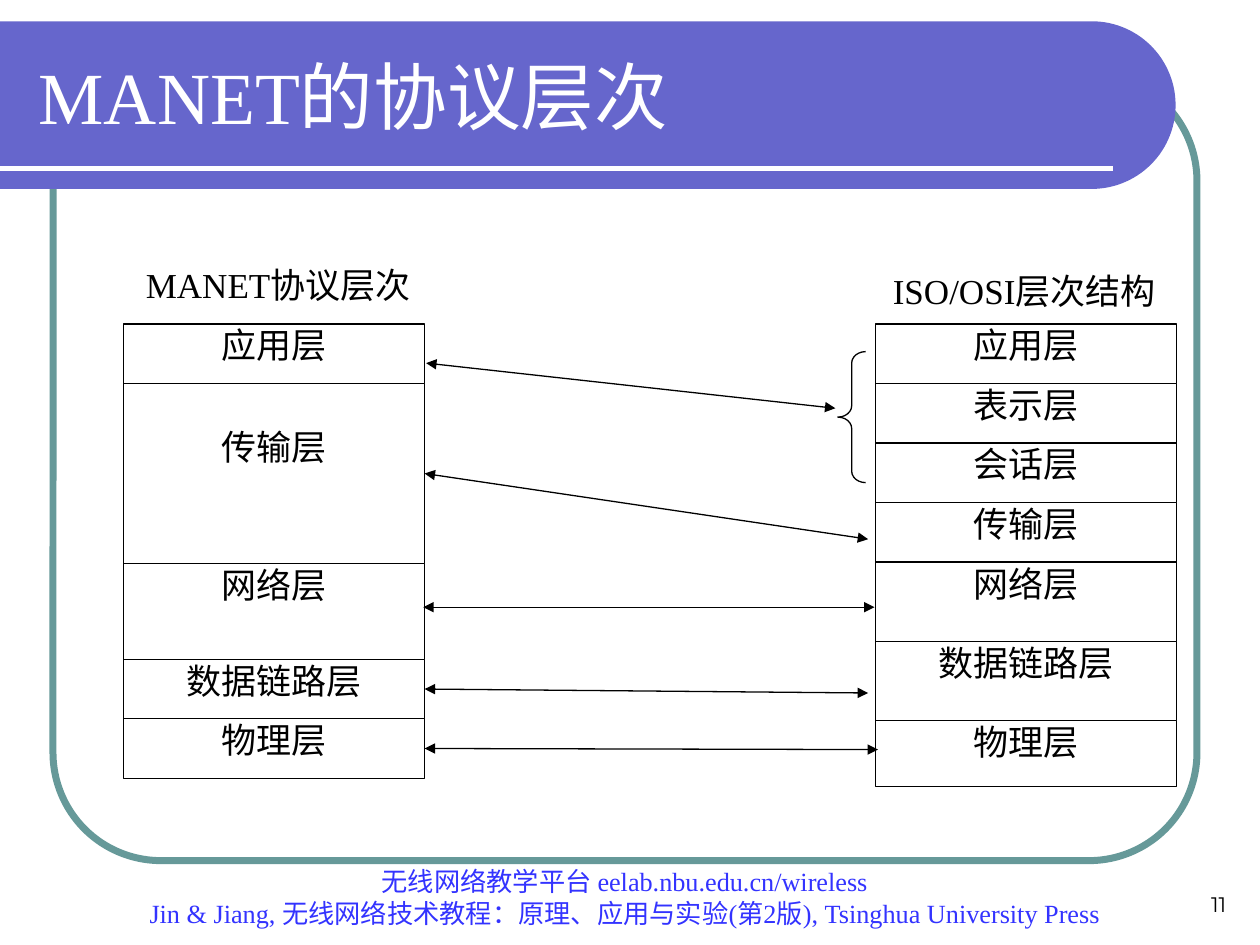
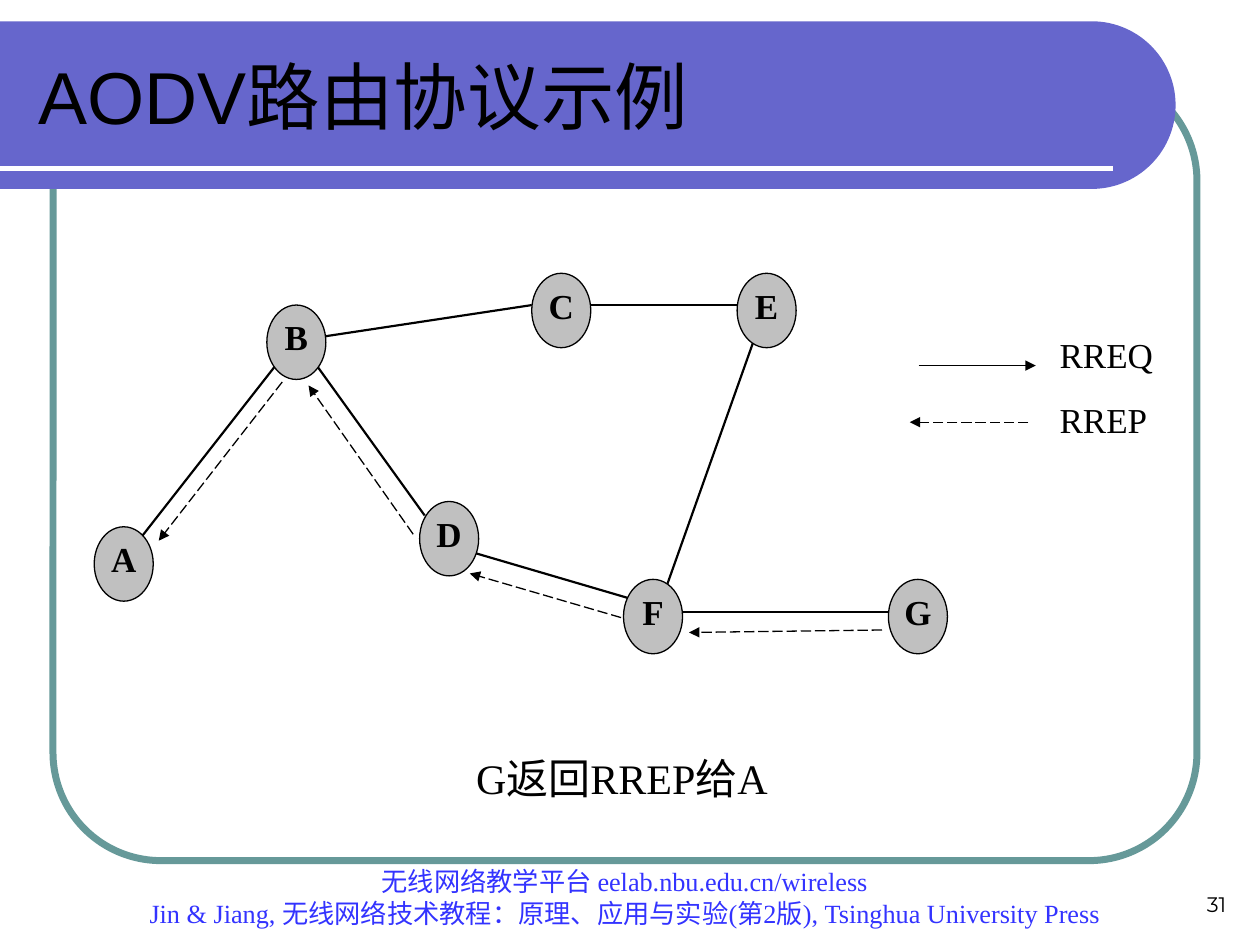
from dataclasses import dataclass
from math import cos, pi, sin

from lxml.etree import SubElement
from pptx import Presentation
from pptx.dml.color import RGBColor
from pptx.enum.dml import MSO_LINE_DASH_STYLE as Dash
from pptx.enum.shapes import MSO_CONNECTOR as Connector, MSO_SHAPE as Shape
from pptx.enum.text import MSO_ANCHOR as Anchor, PP_ALIGN as Align
from pptx.oxml.ns import qn
from pptx.util import Cm, Pt


@dataclass(frozen=True)
class Theme:
    ink: str = "000000"
    paper: str = "FFFFFF"
    band: str = "6666CC"
    frame: str = "669999"
    footer: str = "3333FF"
    node: str = "C0C0C0"
    serif: str = "Times New Roman"
    sans: str = "Arial"
    number_font: str = "Montserrat"
    title_size: int = 42
    caption_size: int = 24
    label_size: int = 20
    footer_size: int = 15
    number_size: int = 12
    thin: float = 0.75
    link: float = 1.25


FOOTER = [
    "无线网络教学平台 eelab.nbu.edu.cn/wireless",
    "Jin & Jiang, 无线网络技术教程：原理、应用与实验(第2版), Tsinghua University Press",
]
PADDING = (0.25, 0.13)
NODE_SIZE = (1.19, 1.5)


class SlideBuilder:
    def __init__(self, deck, theme):
        self.deck = deck
        self.theme = theme
        self.page = None

    def label(self, item, lines, size, color=None, font=None, align=Align.CENTER,
              anchor=Anchor.TOP, padding=(0, 0), bold=False):
        frame = item.text_frame
        frame.word_wrap = True
        frame.vertical_anchor = anchor
        frame.margin_left = frame.margin_right = Cm(padding[0])
        frame.margin_top = frame.margin_bottom = Cm(padding[1])
        frame.text = "\n".join(lines)
        for para in frame.paragraphs:
            para.alignment = align
            for span in para.runs:
                span.font.name = font or self.theme.serif
                span.font.size = Pt(size)
                span.font.bold = bold
                span.font.color.rgb = RGBColor.from_string(color or self.theme.ink)

    def text(self, place, lines, size, **style):
        box = self.page.shapes.add_textbox(*map(Cm, place))
        self.label(box, lines, size, **style)

    def paint(self, item, fill=None, line=None, width=None):
        item.shadow.inherit = False
        if fill:
            item.fill.solid()
            item.fill.fore_color.rgb = RGBColor.from_string(fill)
        else:
            item.fill.background()
        if line:
            item.line.color.rgb = RGBColor.from_string(line)
            item.line.width = Pt(width or self.theme.thin)
        else:
            item.line.fill.background()

    def shape(self, kind, place, fill=None, line=None, width=None):
        item = self.page.shapes.add_shape(kind, *map(Cm, place))
        self.paint(item, fill, line or self.theme.ink, width)
        return item

    def line(self, start, end, width=None, color=None, heads=(), dashed=False, source=None):
        """Draw a line; heads holds headEnd and/or tailEnd, source is a box left by its right side."""
        item = self.page.shapes.add_connector(Connector.STRAIGHT, *map(Cm, start + end))
        if source is not None:
            item.begin_connect(source, 3)
        item.line.color.rgb = RGBColor.from_string(color or self.theme.ink)
        item.line.width = Pt(width or self.theme.thin)
        if dashed:
            item.line.dash_style = Dash.LONG_DASH
        properties = item._element.spPr
        outline = properties.find(qn("a:ln"))
        for head in heads:
            SubElement(outline, qn(f"a:{head}"), type="triangle")
        SubElement(properties, qn("a:effectLst"))

    def band(self, top, right, height):
        radius = height / 2
        steps = 60
        angles = [pi * step / steps - pi / 2 for step in range(steps + 1)]
        curve = [(Cm(right - radius + radius * cos(angle)),
                  Cm(top + radius + radius * sin(angle))) for angle in angles]
        outline = self.page.shapes.build_freeform(0, Cm(top))
        outline.add_line_segments(curve + [(0, Cm(top + height))], close=True)
        self.paint(outline.convert_to_shape(), self.theme.band)

    def start(self, title, number, color, font):
        theme = self.theme
        self.page = self.deck.slides.add_slide(self.deck.slide_layouts[6])
        frame = self.shape(Shape.ROUNDED_RECTANGLE, (1.07, 1.47, 23.06, 15.88),
                           line=theme.frame, width=4)
        frame.adjustments[0] = 0.137
        self.band(0.43, 23.7, 3.38)
        self.line((0, 3.39), (22.43, 3.39), 3, theme.paper)
        self.text((1.9, 17.78, 21.39, 1.07), FOOTER, theme.footer_size, color=theme.footer,
                  anchor=Anchor.BOTTOM, padding=PADDING)
        self.text((19.05, 17.35, 5.92, 1.27), [number], theme.number_size,
                  font=theme.number_font, align=Align.RIGHT, anchor=Anchor.BOTTOM,
                  padding=PADDING)
        self.text((0.53, 0.64, 22.28, 2.54), [title], theme.title_size, color=color,
                  font=font, align=Align.LEFT, anchor=Anchor.MIDDLE, padding=PADDING)

    def stack(self, left, top, layers):
        """Pile boxes without gaps and return them in order."""
        boxes = []
        for name, height in layers:
            box = self.shape(Shape.RECTANGLE, (left, top, 6.07, height), self.theme.paper)
            self.label(box, [name], self.theme.label_size)
            boxes.append(box)
            top += height
        return boxes

    def node(self, name, left, top):
        oval = self.shape(Shape.OVAL, (left, top) + NODE_SIZE, self.theme.node)
        self.label(oval, [name], self.theme.label_size, bold=True)


def build_layers(builder):
    theme = builder.theme
    builder.start("MANET的协议层次", "11", theme.paper, theme.serif)

    # Protocol stacks
    manet = builder.stack(2.49, 6.53, [
        ("应用层", 1.2), ("传输层", 3.63), ("网络层", 1.93), ("数据链路层", 1.2), ("物理层", 1.2)])
    transport, data_link, physical = manet[1], manet[3], manet[4]
    transport.text_frame.margin_top = Cm(0.85)
    builder.stack(17.65, 6.53, [
        ("应用层", 1.2), ("表示层", 1.2), ("会话层", 1.2), ("传输层", 1.2),
        ("网络层", 1.6), ("数据链路层", 1.59), ("物理层", 1.34)])
    builder.text((2.64, 5.31, 5.94, 1.2), ["MANET协议层次"], theme.label_size)
    builder.text((17.78, 5.44, 5.74, 1.2), ["ISO/OSI层次结构"], theme.label_size)

    # Matching layers
    matches = [
        ((8.59, 7.32), (16.84, 8.23), None),
        ((8.56, 9.53), (17.5, 10.87), transport),
        ((8.53, 12.24), (17.63, 12.24), None),
        ((8.56, 13.94), (17.5, 13.97), data_link),
        ((8.61, 15.11), (17.7, 15.11), physical),
    ]
    for start, end, source in matches:
        builder.line(start, end, heads=("headEnd", "tailEnd"), source=source)
    brace = builder.shape(Shape.LEFT_BRACE, (16.89, 7.09, 0.56, 2.64))
    brace.adjustments[0] = 0.41


def build_route_reply(builder):
    theme = builder.theme
    builder.start("AODV路由协议示例", "31", theme.ink, theme.sans)

    # Links, then the nodes over them
    links = [
        ((2.87, 10.8), (5.64, 7.26)),
        ((6.55, 6.78), (10.72, 6.15)),
        ((11.91, 6.15), (14.86, 6.15)),
        ((6.4, 7.39), (8.56, 10.39)),
        ((9.58, 11.15), (12.78, 12.09)),
        ((13.44, 11.81), (15.19, 6.88)),
        ((13.77, 12.34), (17.91, 12.34)),
    ]
    for start, end in links:
        builder.line(start, end, theme.link)
    nodes = {
        "A": (1.9, 10.62), "B": (5.38, 6.15), "C": (10.72, 5.51), "D": (8.46, 10.11),
        "E": (14.86, 5.51), "F": (12.57, 11.68), "G": (17.91, 11.68),
    }
    for name, (left, top) in nodes.items():
        builder.node(name, left, top)

    # Reply path from G to A, and its legend arrow
    replies = [
        ((17.78, 12.7), (13.89, 12.75)),
        ((12.52, 12.45), (9.47, 11.56)),
        ((8.33, 10.77), (6.22, 7.77)),
        ((5.69, 7.7), (3.2, 10.9)),
        ((20.73, 8.51), (18.34, 8.51)),
    ]
    for start, end in replies:
        builder.line(start, end, heads=("tailEnd",), dashed=True)

    # Rest of the legend and the caption
    builder.line((18.52, 7.37), (20.88, 7.37), heads=("tailEnd",))
    for name, top in (("RREQ", 6.73), ("RREP", 8.03)):
        builder.text((21.36, top, 2.36, 1.3), [name], theme.label_size, align=Align.LEFT)
    builder.text((9.35, 15.04, 7.37, 1.27), ["G返回RREP给A"], theme.caption_size,
                 align=Align.LEFT, anchor=Anchor.MIDDLE, padding=PADDING)


def main():
    deck = Presentation()
    deck.slide_width, deck.slide_height = Cm(25.4), Cm(19.05)
    builder = SlideBuilder(deck, Theme())
    build_layers(builder)
    build_route_reply(builder)
    deck.save("out.pptx")


if __name__ == "__main__":
    main()
